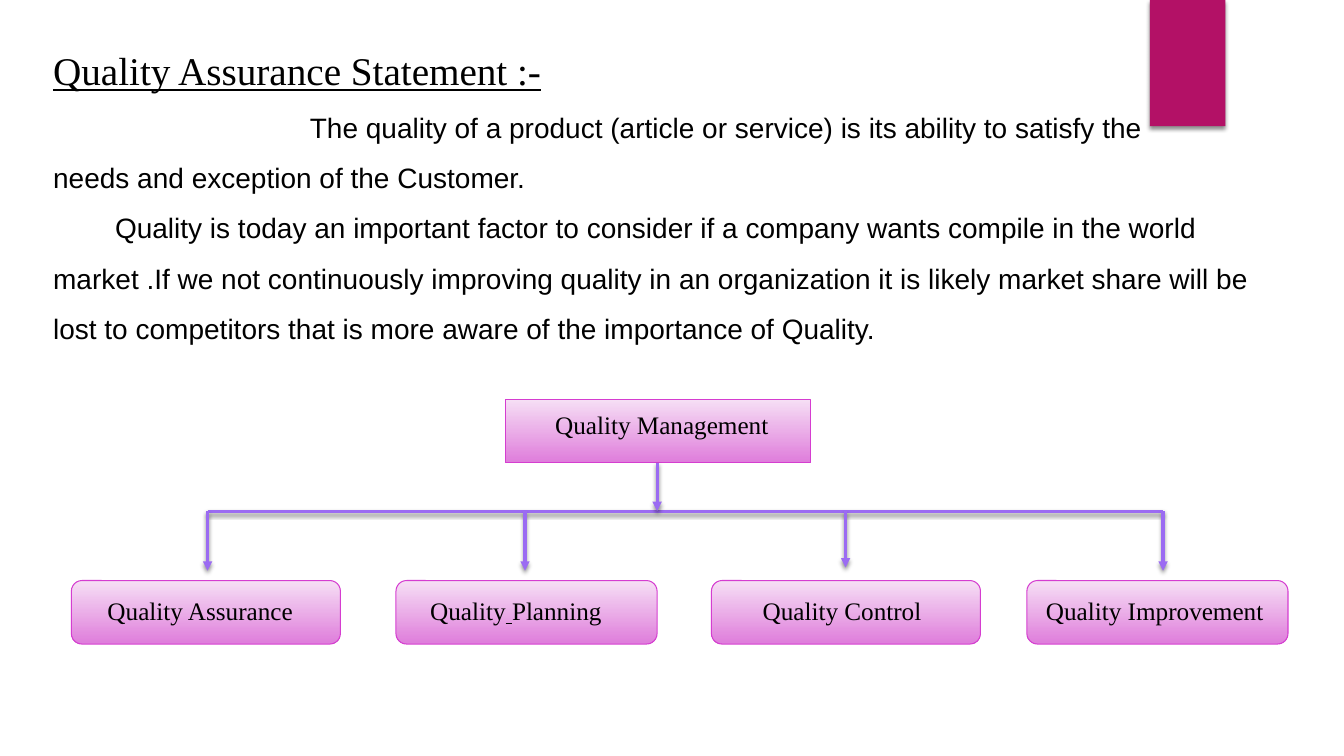
from lxml import etree
from pptx import Presentation
from pptx.dml.color import RGBColor
from pptx.enum.shapes import MSO_CONNECTOR, MSO_SHAPE
from pptx.enum.text import MSO_AUTO_SIZE
from pptx.oxml.ns import qn
from pptx.util import Cm, Pt

RECT, ROUNDED = MSO_SHAPE.RECTANGLE, MSO_SHAPE.ROUNDED_RECTANGLE
STRAIGHT = MSO_CONNECTOR.STRAIGHT
GROW = MSO_AUTO_SIZE.SHAPE_TO_FIT_TEXT

BLACK = RGBColor(0x00, 0x00, 0x00)
MAGENTA = RGBColor(0xB3, 0x11, 0x66)
PALE_PINK = RGBColor(0xF6, 0xDF, 0xF5)
ORCHID = RGBColor(0xDF, 0x7D, 0xDB)
BORDER = RGBColor(0xD5, 0x3D, 0xD0)
VIOLET = RGBColor(0x9B, 0x6B, 0xF2)
SERIF, SANS = "Times New Roman", "Arial"

HEADING = "Quality Assurance Statement :-"
# Text and first-line indent in cm
STATEMENT = [
    ("The quality of a product (article or service) is its ability to satisfy the", 6.47),
    ("needs and exception of the Customer.", 0),
    ("Quality is today an important factor to consider if a company wants "
     "compile in the world", 1.56),
    ("market .If we not continuously improving quality in an organization it is "
     "likely market share will be lost to competitors that is more aware of the "
     "importance of Quality.", 0),
]

# Label runs; box left, width; label left, width; arrow x, arrow end (cm)
BRANCHES = [
    (["Quality Assurance"], (1.8, 6.78), (2.46, 5.59), (5.23, 14.38)),
    (["Quality", " ", "Planning"], (9.98, 6.58), (10.59, 5.82), (13.23, 14.38)),
    (["Quality Control"], (17.93, 6.78), (18.97, 5.44), (21.31, 14.3)),
    (["Quality Improvement"], (25.88, 6.58), (26.11, 6.68), (29.31, 14.38)),
]
ROOT_TOP, BOX_HEIGHT = 10.06, 1.6
BAR_Y, TRUNK_X = 12.88, 16.56
BRANCH_TOP, BRANCH_LABEL_TOP = 14.63, 14.88

prs = Presentation()
prs.slide_width, prs.slide_height = Cm(33.87), Cm(19.05)
slide = prs.slides.add_slide(prs.slide_layouts[6])
shapes = slide.shapes


def cast_shadow(effects):
    """Fill an effect list with a soft black shadow below the object."""
    shadow = etree.SubElement(effects, qn("a:outerShdw"), blurRad=str(Pt(3)),
                              dist=str(Pt(2)), dir="5400000", rotWithShape="0")
    color = etree.SubElement(shadow, qn("a:srgbClr"), val=str(BLACK))
    etree.SubElement(color, qn("a:alpha"), val="45000")


def add_box(kind, left, top, width):
    """Add one diagram box with a vertical pink gradient."""
    box = shapes.add_shape(kind, Cm(left), Cm(top), Cm(width), Cm(BOX_HEIGHT))
    box.shadow.inherit = False
    box.fill.gradient()
    box.fill.gradient_angle = 270
    for stop, color in zip(box.fill.gradient_stops, (PALE_PINK, ORCHID)):
        stop.color.rgb = color
    box.line.color.rgb = BORDER
    box.line.width = Pt(0.75)


def add_line(x1, y1, x2, y2, arrow=True):
    """Add a shadowed violet line, with an arrowhead at its end if wanted."""
    line = shapes.add_connector(STRAIGHT, Cm(x1), Cm(y1), Cm(x2), Cm(y2))
    line.line.color.rgb = VIOLET
    line.line.width = Pt(2.25)
    properties = line._element.spPr
    if arrow:
        etree.SubElement(properties.find(qn("a:ln")), qn("a:tailEnd"), type="triangle")
    cast_shadow(etree.SubElement(properties, qn("a:effectLst")))


def add_text_frame(left, top, width, height):
    """Add a wrapping text box and return its text frame."""
    frame = shapes.add_textbox(Cm(left), Cm(top), Cm(width), Cm(height)).text_frame
    frame.word_wrap = True
    frame.auto_size = GROW
    return frame


def style(run, font, size, underline=False):
    """Set the font of a run."""
    run.font.name, run.font.size = font, Pt(size)
    run.font.underline = underline
    run.font.color.rgb = BLACK


def add_label(parts, left, top, width):
    """Add a diagram label; a lone space among its parts is underlined."""
    paragraph = add_text_frame(left, top, width, 1.02).paragraphs[0]
    for part in parts:
        run = paragraph.add_run()
        run.text = part
        style(run, SERIF, 18, underline=part == " ")


banner = shapes.add_shape(RECT, Cm(28.98), 0, Cm(1.9), Cm(3.18))
banner.fill.solid()
banner.fill.fore_color.rgb = MAGENTA
banner.line.fill.background()
banner.shadow.inherit = False
cast_shadow(banner._element.spPr.find(qn("a:effectLst")))

statement = add_text_frame(1.09, 1.04, 31.75, 7.7)
statement.text = HEADING
style(statement.paragraphs[0].runs[0], SERIF, 28, underline=True)
for text, indent in STATEMENT:
    paragraph = statement.add_paragraph()
    paragraph.text = text
    paragraph.line_spacing = 1.5
    paragraph._p.get_or_add_pPr().set("indent", str(Cm(indent)))
    style(paragraph.runs[0], SANS, 20)

add_box(RECT, 12.73, ROOT_TOP, 7.7)
for _, (left, width), _, _ in BRANCHES:
    add_box(ROUNDED, left, BRANCH_TOP, width)

arrows = [arrow for *_, arrow in BRANCHES]
add_line(arrows[0][0], BAR_Y, arrows[-1][0], BAR_Y, arrow=False)
for x, end in arrows:
    add_line(x, BAR_Y, x, end)
add_line(TRUNK_X, ROOT_TOP + BOX_HEIGHT, TRUNK_X, BAR_Y)

add_label(["Quality Management"], 13.74, 10.19, 6.25)
for parts, _, (left, width), _ in BRANCHES:
    add_label(parts, left, BRANCH_LABEL_TOP, width)

prs.save("out.pptx")
